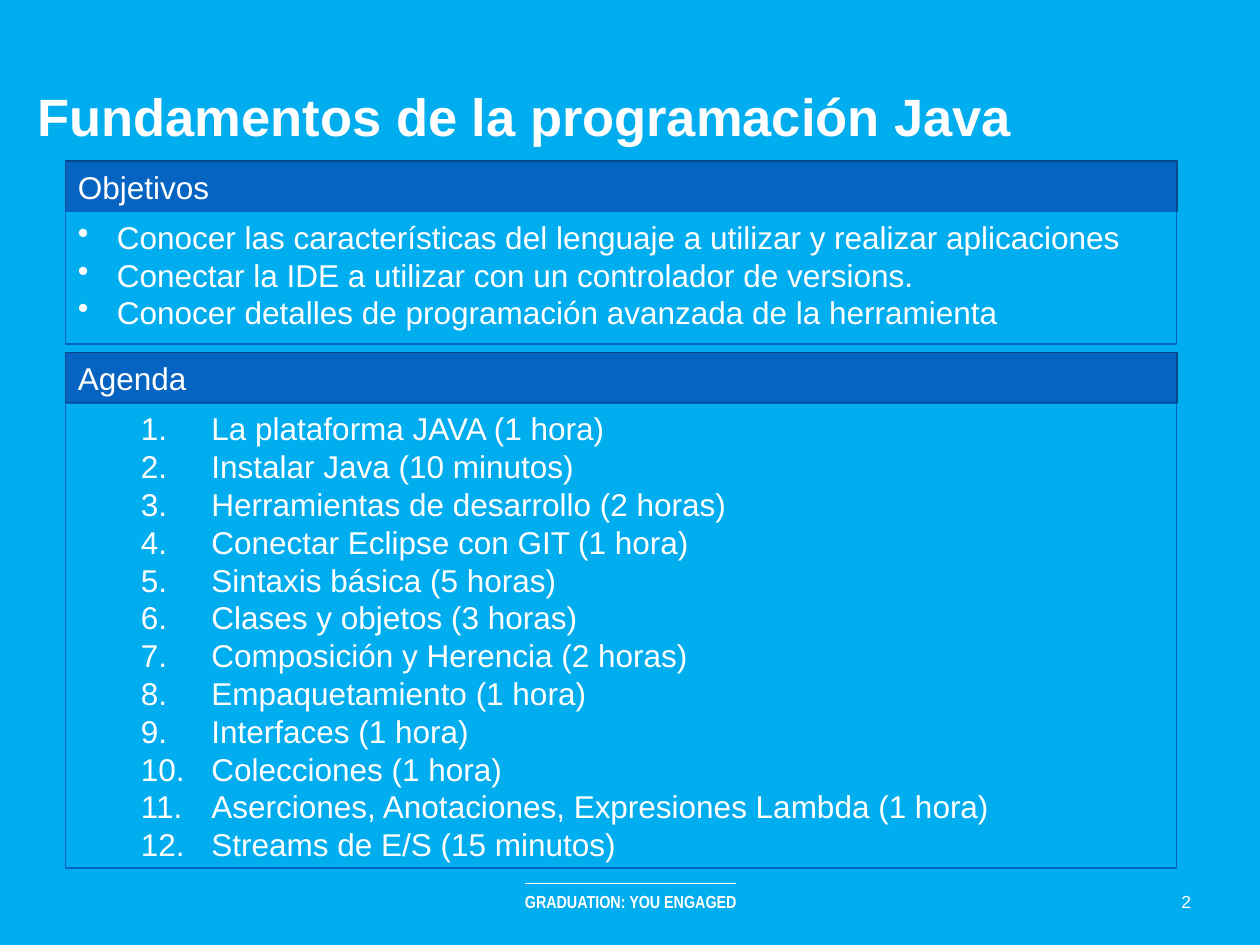
from lxml import etree
from pptx import Presentation
from pptx.dml.color import RGBColor
from pptx.enum.shapes import MSO_CONNECTOR, MSO_SHAPE
from pptx.enum.text import MSO_ANCHOR, PP_ALIGN
from pptx.oxml.ns import qn
from pptx.util import Inches, Pt

WHITE, SKY, BLUE, NAVY = "FFFFFF", "00ADEF", "0563C1", "03488C"


def color(value):
    return RGBColor.from_string(value)


def write(shape, lines, size, anchor, align=PP_ALIGN.LEFT, font="Arial", bold=False):
    frame = shape.text_frame
    frame.word_wrap = True
    frame.vertical_anchor = anchor
    frame.text = "\n".join(lines)
    for paragraph in frame.paragraphs:
        paragraph.alignment = align
        paragraph.font.name = font
        paragraph.font.size = Pt(size)
        paragraph.font.bold = bold
        paragraph.font.color.rgb = color(WHITE)
    return frame


presentation = Presentation()
presentation.slide_width = Inches(10)
presentation.slide_height = Inches(7.5)
slide = presentation.slides.add_slide(presentation.slide_layouts[6])
slide.background.fill.solid()
slide.background.fill.fore_color.rgb = color(SKY)

# Footer: label, rule and slide number
footer = slide.shapes.add_textbox(Inches(3.67), Inches(7.02), Inches(2.67), Inches(0.27))
write(footer, ["GRADUATION: YOU ENGAGED"], 10, MSO_ANCHOR.MIDDLE, PP_ALIGN.CENTER, "Arial Narrow", True)
rule = slide.shapes.add_connector(
    MSO_CONNECTOR.STRAIGHT, Inches(4.17), Inches(7.01), Inches(5.84), Inches(7.01))
rule.line.color.rgb = color(WHITE)
rule.line.width = Pt(0.75)
etree.SubElement(rule._element.spPr, qn("a:effectLst"))
number = slide.shapes.add_textbox(Inches(9.23), Inches(7.02), Inches(0.37), Inches(0.27))
write(number, ["2"], 10, MSO_ANCHOR.MIDDLE, PP_ALIGN.CENTER)

# Title
title = slide.shapes.add_textbox(Inches(0.3), Inches(0.59), Inches(8.13), Inches(1.11))
title_frame = write(title, ["Fundamentos de la programación Java"], 30, MSO_ANCHOR.TOP, bold=True)
title_frame.margin_left = title_frame.margin_right = 0
title_frame.margin_top = Inches(0.08)

# Sections: heading, top, body height, left margin, hanging indent, bullet, lines
header_height = 0.4
sections = [
    ("Objetivos", 1.28, 1.05, 0.31, 0.31, ("a:buChar", "char", "•"), [
        "Conocer las características del lenguaje a utilizar y realizar aplicaciones",
        "Conectar la IDE a utilizar con un controlador de versions.",
        "Conocer detalles de programación avanzada de la herramienta",
    ]),
    ("Agenda", 2.8, 3.69, 1.06, 0.56, ("a:buAutoNum", "type", "arabicPeriod"), [
        "La plataforma JAVA (1 hora)",
        "Instalar Java (10 minutos)",
        "Herramientas de desarrollo (2 horas)",
        "Conectar Eclipse con GIT (1 hora)",
        "Sintaxis básica (5 horas)",
        "Clases y objetos (3 horas)",
        "Composición y Herencia (2 horas)",
        "Empaquetamiento (1 hora)",
        "Interfaces (1 hora)",
        "Colecciones (1 hora)",
        "Aserciones, Anotaciones, Expresiones Lambda (1 hora)",
        "Streams de E/S (15 minutos)",
    ]),
]
for heading, top, body_height, margin, hanging, bullet, lines in sections:
    header = slide.shapes.add_shape(
        MSO_SHAPE.RECTANGLE, Inches(0.52), Inches(top), Inches(8.82), Inches(header_height))
    header.fill.solid()
    header.fill.fore_color.rgb = color(BLUE)
    header.line.color.rgb = color(NAVY)
    header.line.width = Pt(0.85)
    write(header, [heading], 18, MSO_ANCHOR.MIDDLE)

    body = slide.shapes.add_shape(
        MSO_SHAPE.RECTANGLE, Inches(0.52), Inches(top + header_height), Inches(8.82), Inches(body_height))
    body.fill.background()
    body.line.color.rgb = color(BLUE)
    body.line.width = Pt(0.75)
    header.shadow.inherit = body.shadow.inherit = False
    frame = write(body, lines, 18, MSO_ANCHOR.TOP)

    # Bullets or numbers with a hanging indent
    tag, attribute, value = bullet
    for paragraph in frame.paragraphs:
        paragraph.line_spacing = Pt(21.6)
        properties = paragraph._p.get_or_add_pPr()
        properties.set("marL", str(Inches(margin)))
        properties.set("indent", str(-Inches(hanging)))
        marker = etree.Element(qn(tag))
        marker.set(attribute, value)
        properties.find(qn("a:defRPr")).addprevious(marker)

presentation.save("out.pptx")
